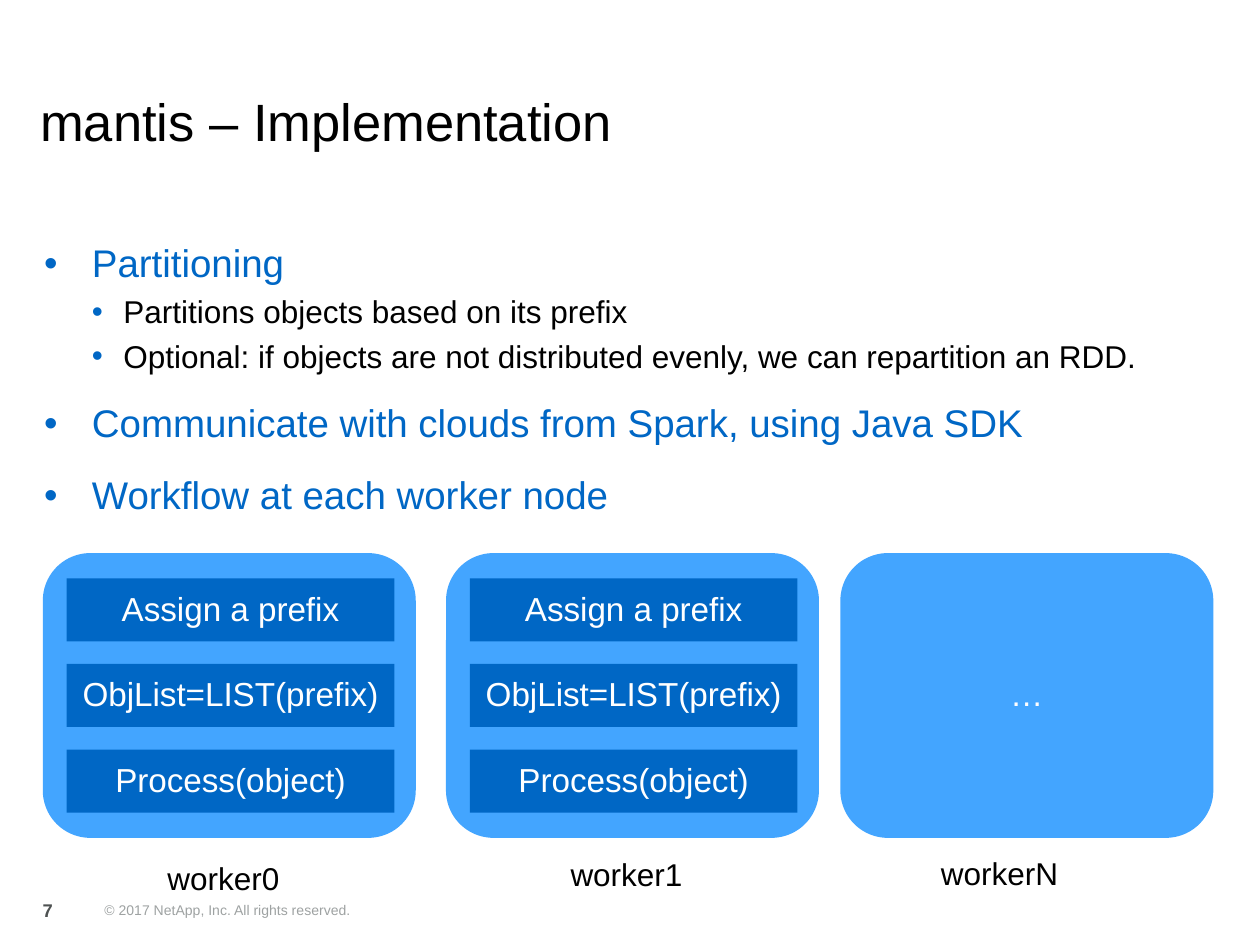
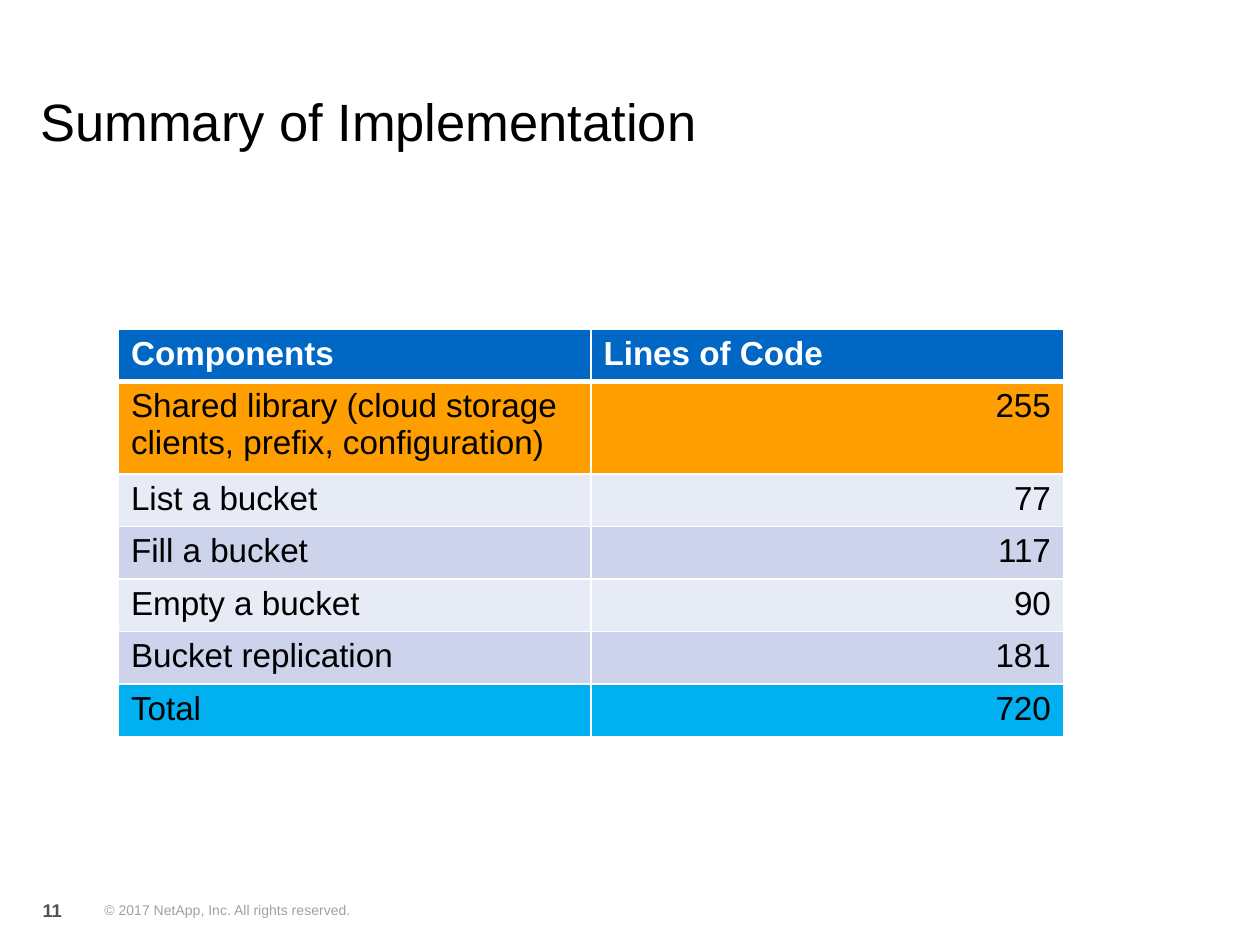
import pptx
import pptx.dml.color
import pptx.enum.shapes
import pptx.enum.text
import pptx.oxml
import pptx.oxml.ns
import pptx.util
from pptx.util import Inches

FONT = "Arial"
BLUE, LIGHT_BLUE = "0067C5", "43A5FF"
BLACK, WHITE = "000000", "FFFFFF"
COPYRIGHT_GREY, NUMBER_GREY = "9EA2A2", "4E5252"
ORANGE, CYAN = "FF9E00", "00B0F0"
PALE_ROW, TINTED_ROW = "E7EBF5", "CCD3EA"

ALIGN = pptx.enum.text.PP_ALIGN
ANCHOR = pptx.enum.text.MSO_ANCHOR
SHAPE = pptx.enum.shapes.MSO_SHAPE
NAMESPACE = pptx.oxml.ns.nsdecls("a")

COPYRIGHT = "© 2017 NetApp, Inc. All rights reserved."

# Level and wording of each bullet
BULLETS = [
    (0, "Partitioning"),
    (1, "Partitions objects based on its prefix"),
    (1, "Optional: if objects are not distributed evenly, we can repartition an RDD."),
    (0, "Communicate with clouds from Spark, using Java SDK"),
    (0, "Workflow at each worker node"),
]
# Per level: text size, colour, left margin, hanging indent, space before, line spacing
BULLET_LEVELS = [
    (22, BLUE, 0.38, 0.38, 12, 0.95),
    (18, BLACK, 0.63, 0.25, 2, 0.9),
]

STEPS = ["Assign a prefix", "ObjList=LIST(prefix)", "Process(object)"]
# Panel left, label, label left and top, whether the steps are shown
WORKERS = [
    (0.34, "worker0", 1.23, 6.48, True),
    (3.54, "worker1", 4.43, 6.45, True),
    (6.67, "workerN", 7.37, 6.44, False),
]

# Component, lines of code, row fill
CODE_SIZES = [
    ("Components", "Lines of Code", BLUE),
    ("Shared library (cloud storage clients, prefix, configuration)", "255", ORANGE),
    ("List a bucket", "77", PALE_ROW),
    ("Fill a bucket", "117", TINTED_ROW),
    ("Empty a bucket", "90", PALE_ROW),
    ("Bucket replication", "181", TINTED_ROW),
    ("Total", "720", CYAN),
]


def rgb(value):
    return pptx.dml.color.RGBColor.from_string(value)


def format_paragraph(paragraph, size, color, bold=False, align=ALIGN.LEFT, spacing=None):
    paragraph.alignment = align
    if spacing:
        paragraph.line_spacing = spacing
    for run in paragraph.runs:
        run.font.name = FONT
        run.font.size = pptx.util.Pt(size)
        run.font.bold = bold
        run.font.color.rgb = rgb(color)


def place(shape, left, top, width, height):
    shape.left, shape.top = Inches(left), Inches(top)
    shape.width, shape.height = Inches(width), Inches(height)


def add_label(slide, text, box, size, color, bold=False, anchor=ANCHOR.BOTTOM, spacing=None):
    frame = slide.shapes.add_textbox(*map(Inches, box)).text_frame
    frame.word_wrap = True
    frame.vertical_anchor = anchor
    frame.text = text
    format_paragraph(frame.paragraphs[0], size, color, bold, spacing=spacing)


def add_block(shapes, kind, box, fill, text=""):
    block = shapes.add_shape(kind, *map(Inches, box))
    block.shadow.inherit = False
    block.fill.solid()
    block.fill.fore_color.rgb = rgb(fill)
    block.line.fill.background()
    if text:
        frame = block.text_frame
        frame.margin_left = frame.margin_right = 0
        frame.vertical_anchor = ANCHOR.MIDDLE
        frame.text = text
        format_paragraph(frame.paragraphs[0], 19, WHITE, align=ALIGN.CENTER, spacing=0.95)


def add_titled_slide(deck, layout_index, title, number):
    slide = deck.slides.add_slide(deck.slide_layouts[layout_index])
    heading = slide.shapes.title
    place(heading, 0.22, 0.25, 9.56, 1)
    frame = heading.text_frame
    frame.text = title
    frame.auto_size = pptx.enum.text.MSO_AUTO_SIZE.NONE
    frame.vertical_anchor = ANCHOR.BOTTOM
    format_paragraph(frame.paragraphs[0], 30, BLACK, spacing=0.8)

    # Footer
    add_label(slide, COPYRIGHT, (0.73, 7.08, 6.61, 0.26), 8, COPYRIGHT_GREY)
    add_label(slide, number, (0.24, 7.07, 0.5, 0.29), 10.5, NUMBER_GREY, bold=True)
    return slide


def add_bullet(paragraph, margin, hanging):
    properties = paragraph._p.get_or_add_pPr()
    properties.set("marL", str(Inches(margin)))
    properties.set("indent", str(-Inches(hanging)))
    for markup in (
        f'<a:buClr {NAMESPACE}><a:srgbClr val="{BLUE}"/></a:buClr>',
        f'<a:buFont {NAMESPACE} typeface="{FONT}"/>',
        f'<a:buChar {NAMESPACE} char="•"/>',
    ):
        properties.append(pptx.oxml.parse_xml(markup))


def fill_bullets(body):
    place(body, 0.25, 1.87, 9.56, 2.45)
    frame = body.text_frame
    frame.text = "\n".join(text for _, text in BULLETS)
    frame.auto_size = pptx.enum.text.MSO_AUTO_SIZE.NONE
    for index, (level, _) in enumerate(BULLETS):
        size, color, margin, hanging, before, spacing = BULLET_LEVELS[level]
        paragraph = frame.paragraphs[index]
        paragraph.level = level
        add_bullet(paragraph, margin, hanging)
        paragraph.space_before = pptx.util.Pt(before if index else 0)
        paragraph.space_after = pptx.util.Pt(4)
        format_paragraph(paragraph, size, color, spacing=spacing)


def add_worker(slide, left, name, label_left, label_top, has_steps):
    panel = (left, 4.39, 2.96, 2.26)
    if has_steps:
        group = slide.shapes.add_group_shape()
        add_block(group.shapes, SHAPE.ROUNDED_RECTANGLE, panel, LIGHT_BLUE)
        for index, step in enumerate(STEPS):
            step_box = (left + 0.19, 4.59 + 0.68 * index, 2.6, 0.5)
            add_block(group.shapes, SHAPE.RECTANGLE, step_box, BLUE, step)
    else:
        add_block(slide.shapes, SHAPE.ROUNDED_RECTANGLE, panel, LIGHT_BLUE, "…")
    add_label(slide, name, (label_left, label_top, 1.2, 1), 18, BLACK,
              anchor=ANCHOR.MIDDLE, spacing=0.95)


def set_borders(cell, top, bottom):
    properties = cell._tc.get_or_add_tcPr()
    widths = {"lnL": 1, "lnR": 1, "lnT": top, "lnB": bottom}
    for index, (side, width) in enumerate(widths.items()):
        properties.insert(index, pptx.oxml.parse_xml(
            f'<a:{side} {NAMESPACE} w="{pptx.util.Pt(width)}"><a:solidFill>'
            f'<a:srgbClr val="{WHITE}"/></a:solidFill></a:{side}>'))


def add_code_table(slide):
    row_height = 0.4
    table = slide.shapes.add_table(
        len(CODE_SIZES), 2, Inches(0.94), Inches(2.61),
        Inches(7.5), Inches(row_height * len(CODE_SIZES))).table
    for row, (component, lines, fill) in enumerate(CODE_SIZES):
        header = row == 0
        for column, text in enumerate((component, lines)):
            cell = table.cell(row, column)
            cell.text = text
            cell.fill.solid()
            cell.fill.fore_color.rgb = rgb(fill)
            set_borders(cell, top=3 if row == 1 else 1, bottom=3 if header else 1)
            align = ALIGN.RIGHT if column and not header else ALIGN.LEFT
            format_paragraph(cell.text_frame.paragraphs[0], 19,
                             WHITE if header else BLACK, header, align)


def main():
    deck = pptx.Presentation()
    deck.slide_width, deck.slide_height = Inches(10), Inches(7.5)

    # Implementation: bullets above the worker panels
    implementation = add_titled_slide(deck, 1, "mantis – Implementation", "7")
    fill_bullets(implementation.placeholders[1])
    for worker in WORKERS:
        add_worker(implementation, *worker)

    # Summary: lines of code per component
    summary = add_titled_slide(deck, 5, "Summary of Implementation", "11")
    add_code_table(summary)

    deck.save("out.pptx")


if __name__ == "__main__":
    main()
